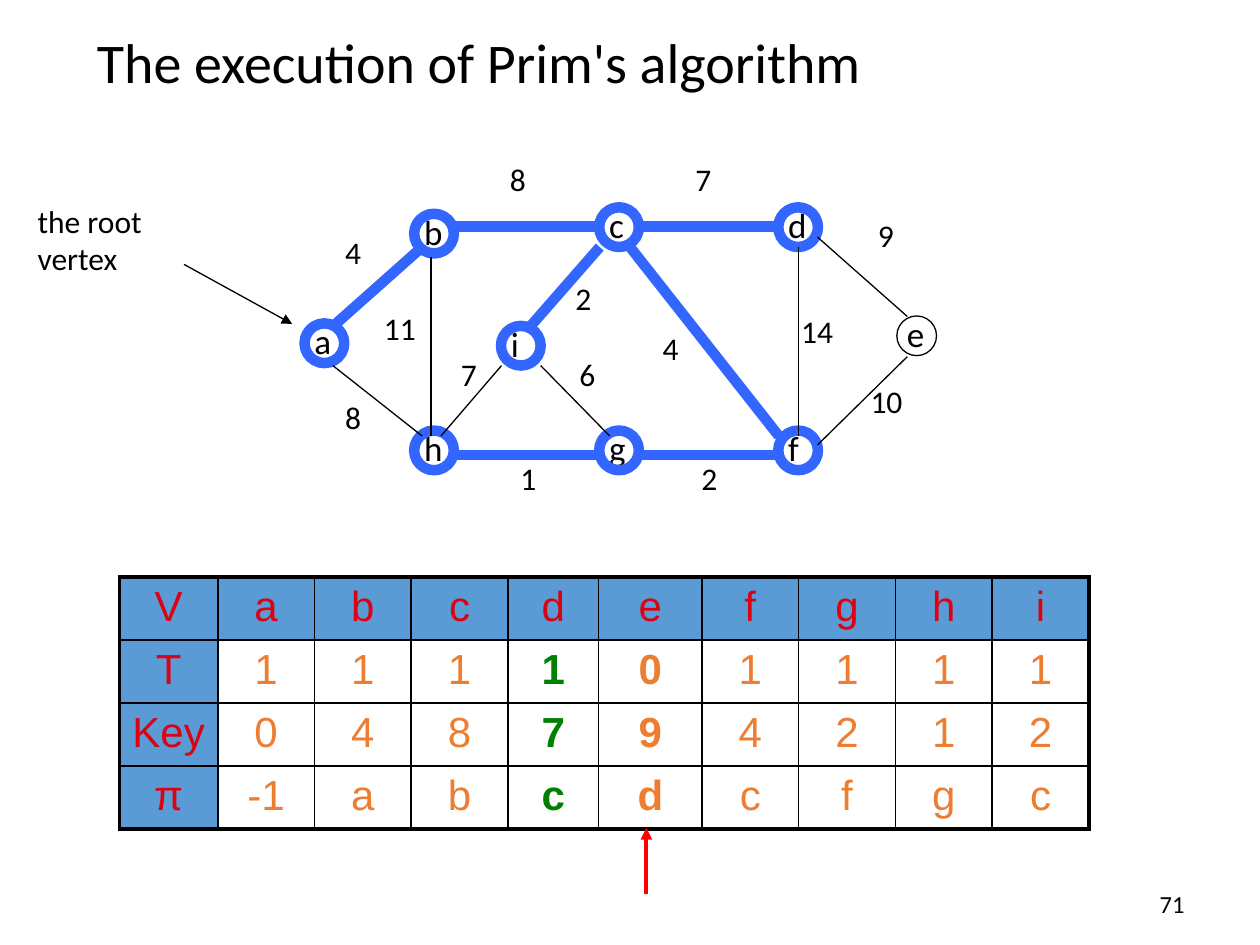
from dataclasses import dataclass

import lxml.etree
import pptx
import pptx.dml.color
import pptx.enum.shapes
import pptx.enum.text
import pptx.oxml.ns
import pptx.util

Cm, Pt = pptx.util.Cm, pptx.util.Pt
ALIGN, ANCHOR = pptx.enum.text.PP_ALIGN, pptx.enum.text.MSO_ANCHOR
Point = tuple[float, float]


@dataclass(frozen=True)
class Theme:
    font: str = "Calibri"
    table_font: str = "Arial"
    ink: str = "000000"
    tree: str = "3366FF"
    pointer: str = "FF0000"
    header_fill: str = "5B9BD5"
    header_ink: str = "DD0111"
    value: str = "ED7D31"
    chosen: str = "008000"
    title_size: float = 32
    table_size: float = 24
    node_size: float = 20
    label_size: float = 18
    number_size: float = 14
    thin: float = 0.75
    thick: float = 6
    grid: float = 1
    frame: float = 2.25


@dataclass(frozen=True)
class Node:
    name: str
    center: Point
    in_tree: bool = True


@dataclass(frozen=True)
class Edge:
    start: Point
    end: Point
    in_tree: bool
    weight: str
    label: Point


THEME = Theme()
DIAMETER = 0.8
TOP, BOTTOM = 4.57, 9.17

NODES = [
    Node("a", (6.54, 6.92)),
    Node("b", (8.75, 4.71)),
    Node("h", (8.75, 9.08)),
    Node("c", (12.48, 4.58)),
    Node("d", (16.09, 4.58)),
    Node("e", (18.48, 6.77), False),
    Node("f", (16.09, 9.08)),
    Node("g", (12.48, 9.08)),
    Node("i", (10.5, 6.97)),
]

EDGES = [
    Edge((6.71, 6.58), (8.51, 4.98), True, "4", (6.71, 4.57)),
    Edge((6.71, 7.37), (8.51, 8.79), False, "8", (6.71, 7.9)),
    Edge((8.69, 5.18), (8.69, 8.79), False, "11", (7.49, 6.1)),
    Edge((9.09, TOP), (12.09, TOP), True, "8", (10.03, 3.1)),
    Edge((9.09, BOTTOM), (12.09, BOTTOM), True, "1", (10.24, 9.12)),
    Edge((12.9, BOTTOM), (15.7, BOTTOM), True, "2", (13.89, 9.12)),
    Edge((12.7, 4.98), (15.7, 8.79), True, "4", (13.11, 6.5)),
    Edge((12.9, TOP), (15.7, TOP), True, "7", (13.77, 3.1)),
    Edge((16.1, 4.98), (16.1, 8.79), False, "14", (15.9, 6.17)),
    Edge((16.48, 4.78), (18.29, 6.38), False, "9", (17.45, 4.24)),
    Edge((16.48, 8.97), (18.29, 7.19), False, "10", (17.3, 7.57)),
    Edge((10.9, 7.37), (12.29, 8.79), False, "6", (11.43, 7.04)),
    Edge((8.89, 8.79), (10.11, 7.37), False, "7", (9.04, 7.04)),
    Edge((10.69, 6.58), (12.09, 4.98), True, "2", (11.35, 5.51)),
]

ROWS = [
    ["V", *"abcdefghi"],
    ["T", *"111101111"],
    ["Key", *"048794212"],
    ["π", "-1", *"abcdcfgc"],
]
COLUMN_WIDTHS = [1.98, 1.95, 1.95, 1.95, 1.83, 2.08, 1.95, 1.95, 1.95, 1.95]
ROW_HEIGHT = 1.27
CHOSEN_COLUMN, CURRENT_COLUMN = 4, 5


def rgb(color: str) -> pptx.dml.color.RGBColor:
    return pptx.dml.color.RGBColor.from_string(color)


def write(tf, text: str, size: float, align=ALIGN.LEFT, color: str = THEME.ink,
          font: str = THEME.font, bold: bool = False) -> None:
    tf.text = text
    p = tf.paragraphs[0]
    p.alignment = align
    p.font.name, p.font.size, p.font.bold = font, Pt(size), bold
    p.font.color.rgb = rgb(color)


def add_text(s, text: str, at: Point, width: float, height: float, size: float,
             align=ALIGN.LEFT, anchor=ANCHOR.TOP) -> None:
    tf = s.shapes.add_textbox(Cm(at[0]), Cm(at[1]), Cm(width), Cm(height)).text_frame
    tf.word_wrap = True
    tf.vertical_anchor = anchor
    write(tf, text, size, align)


def add_line(s, start: Point, end: Point, color: str, width: float,
             arrow: bool = False) -> None:
    line = s.shapes.add_connector(
        pptx.enum.shapes.MSO_CONNECTOR.STRAIGHT, *map(Cm, start + end))
    line.line.color.rgb = rgb(color)
    line.line.width = Pt(width)
    qn = pptx.oxml.ns.qn
    if arrow:
        lxml.etree.SubElement(line.line._get_or_add_ln(), qn("a:tailEnd"), type="triangle")
    lxml.etree.SubElement(line._element.spPr, qn("a:effectLst"))


def stroke(in_tree: bool) -> tuple[str, float]:
    return (THEME.tree, THEME.thick) if in_tree else (THEME.ink, THEME.thin)


def add_node(s, node: Node) -> None:
    left, top = (c - DIAMETER / 2 for c in node.center)
    add_text(s, node.name, (left - 0.05, top - 0.2), 0.92, 1.09, THEME.node_size)
    sp = s.shapes.add_shape(pptx.enum.shapes.MSO_SHAPE.OVAL,
                            Cm(left), Cm(top), Cm(DIAMETER), Cm(DIAMETER))
    sp.shadow.inherit = False
    sp.fill.background()
    color, width = stroke(node.in_tree)
    sp.line.color.rgb = rgb(color)
    sp.line.width = Pt(width)


def add_weight(s, edge: Edge) -> None:
    width = 0.86 if len(edge.weight) == 1 else 1.22
    add_text(s, edge.weight, edge.label, width, 1.02, THEME.label_size)


def set_borders(cell, row: int, col: int) -> None:
    outer = {"L": col == 0, "R": col == len(COLUMN_WIDTHS) - 1,
             "T": row == 0, "B": row == len(ROWS) - 1}
    qn = pptx.oxml.ns.qn
    tcPr = cell._tc.get_or_add_tcPr()
    for side, framed in outer.items():
        width = Pt(THEME.frame if framed else THEME.grid)
        ln = lxml.etree.SubElement(tcPr, qn("a:ln" + side), w=str(width))
        fill = lxml.etree.SubElement(ln, qn("a:solidFill"))
        lxml.etree.SubElement(fill, qn("a:srgbClr"), val=THEME.ink)


def add_state_table(s, left: float, top: float) -> None:
    table = s.shapes.add_table(
        len(ROWS), len(COLUMN_WIDTHS), Cm(left), Cm(top),
        Cm(sum(COLUMN_WIDTHS)), Cm(ROW_HEIGHT * len(ROWS))).table
    table.first_row = table.horz_banding = False
    for column, width in zip(table.columns, COLUMN_WIDTHS):
        column.width = Cm(width)
    for r, values in enumerate(ROWS):
        table.rows[r].height = Cm(ROW_HEIGHT)
        for c, value in enumerate(values):
            cell = table.cell(r, c)
            cell.margin_left = cell.margin_right = Cm(0.2)
            set_borders(cell, r, c)
            header = r == 0 or c == 0
            if header:
                cell.fill.solid()
                cell.fill.fore_color.rgb = rgb(THEME.header_fill)
                color = THEME.header_ink
            else:
                cell.fill.background()
                color = THEME.chosen if c == CHOSEN_COLUMN else THEME.value
            bold = not header and c in (CHOSEN_COLUMN, CURRENT_COLUMN)
            write(cell.text_frame, value, THEME.table_size, ALIGN.CENTER,
                  color, THEME.table_font, bold)


def main() -> None:
    prs = pptx.Presentation()
    prs.slide_width, prs.slide_height = Cm(25.4), Cm(19.05)
    s = prs.slides.add_slide(prs.slide_layouts.get_by_name("Title Only"))

    title = s.shapes.title
    title.left, title.top, title.width, title.height = map(Cm, (1.7, 0.43, 21.79, 1.63))
    title.text_frame.vertical_anchor = ANCHOR.TOP
    write(title.text_frame, "The execution of Prim's algorithm", THEME.title_size)

    add_text(s, "71", (18.21, 17.78), 5.92, 0.89, THEME.number_size,
             ALIGN.RIGHT, ANCHOR.MIDDLE)
    add_text(s, "the root vertex", (0.51, 3.94), 3.4, 2.29, THEME.label_size)
    add_line(s, (3.71, 5.33), (5.89, 6.53), THEME.ink, THEME.thin, arrow=True)
    add_state_table(s, 2.41, 11.63)

    for node in NODES:
        add_node(s, node)
    for edge in EDGES:
        add_line(s, edge.start, edge.end, *stroke(edge.in_tree))
    for edge in EDGES:
        add_weight(s, edge)
    add_line(s, (13.03, 18.03), (13.03, 16.69), THEME.pointer, THEME.frame, arrow=True)

    prs.save("out.pptx")


if __name__ == "__main__":
    main()
